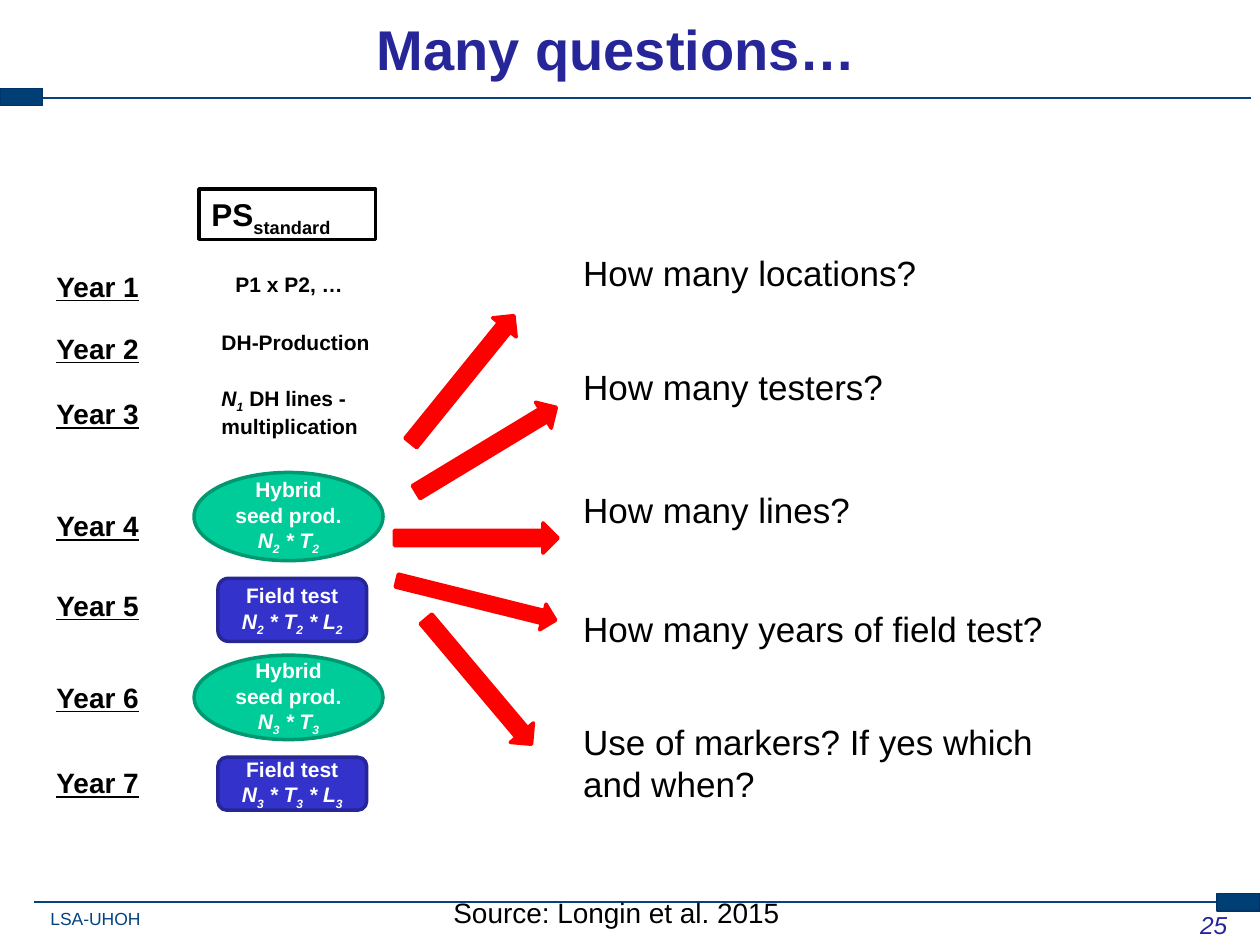
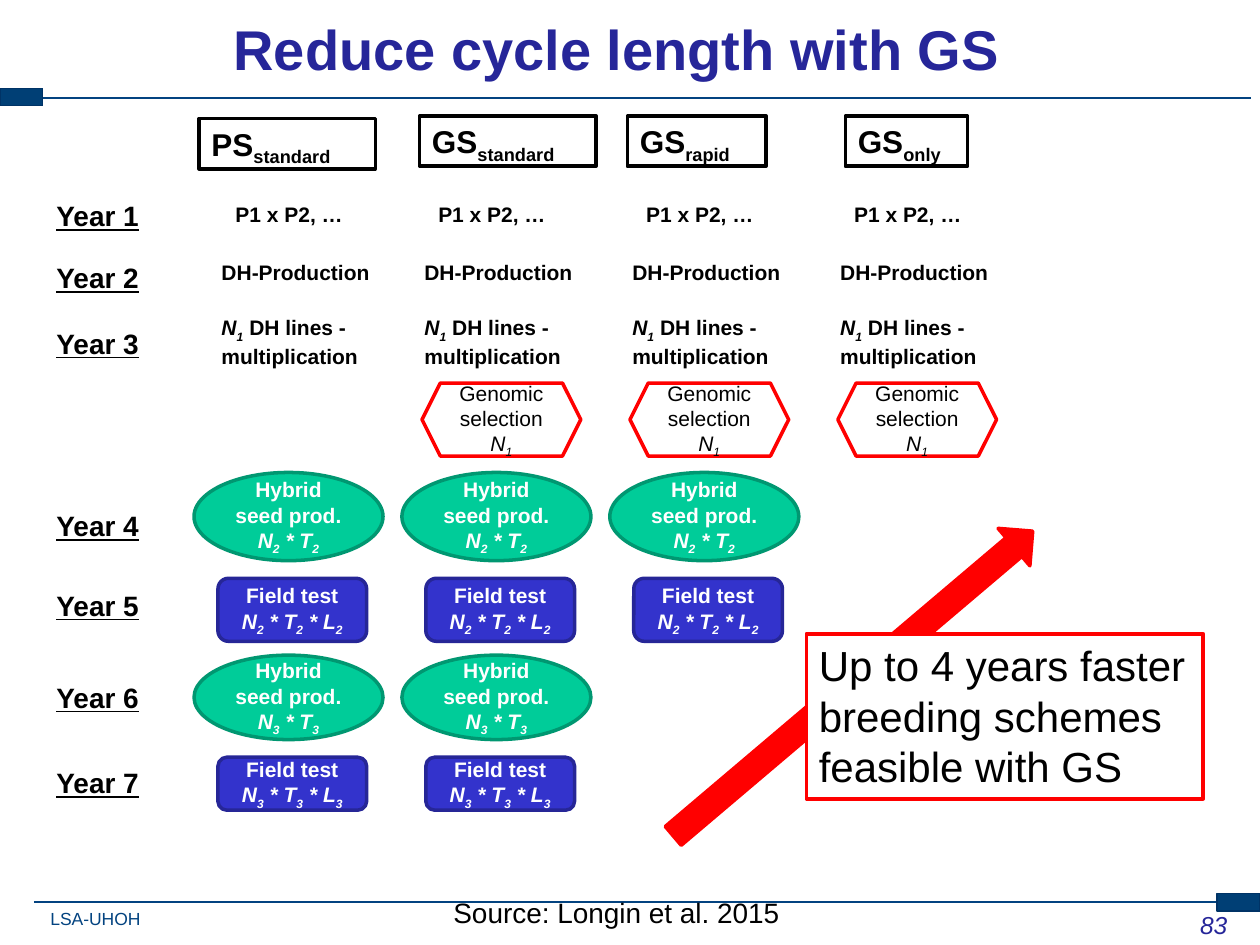
from itertools import groupby
from lxml import etree
from pptx import Presentation
from pptx import util as u
from pptx.dml.color import RGBColor
from pptx.enum import shapes, text
from pptx.oxml.ns import qn

WIDTH, HEIGHT = 10, 7.5
FONT = "Arial"
COLORS = {
    "title": "262699", "rule": "034380", "band": "003F75", "band_line": "003366",
    "black": "000000", "white": "FFFFFF", "red": "FF0000",
    "green": "00CC99", "green_line": "009771", "blue": "3333CC", "blue_line": "262697",
}
KIND = shapes.MSO_SHAPE
ALIGN = text.PP_ALIGN
ANCHOR = text.MSO_ANCHOR


def formula(symbols):
    return [("".join(part), "is" if digit else "i")
            for digit, part in groupby(symbols, str.isdigit)]


FOOTER = "LSA-UHOH"
SOURCE = "Source: Longin et al. 2015"
YEAR_TOPS = [2.09, 2.58, 3.1, 3.99, 4.62, 5.35, 6.03]
EARLY_YEARS = 3
EARLY_LIFT = 0.56

COLUMN_PITCH = 1.65
NOTE_NUDGE = -0.04
NOTES = [
    (1.77, 2.11, 1.18, 0.3, "P1 x P2, …"),
    (1.66, 2.57, 1.5, 0.3, "DH-Production"),
    (1.66, 3.01, 1.34, 0.5, [formula("N1") + [(" DH lines - multiplication", "")]]),
]
GENOMIC = (1.7, 3.04, 1.26, 0.58, [[("Genomic selection ", "")] + formula("N1")])
STAGES = [
    ("hybrid", 3.75, 0.7, "N2 * T2"),
    ("field", 4.59, 0.5, "N2 * T2 * L2"),
    ("hybrid", 5.2, 0.67, "N3 * T3"),
    ("field", 6.01, 0.42, "N3 * T3 * L3"),
]
STAGE_STYLES = {
    "hybrid": (KIND.OVAL, 1.54, 1.5, "Hybrid seed prod.", "green", "green_line"),
    "field": (KIND.ROUNDED_RECTANGLE, 1.73, 1.18, "Field test", "blue", "blue_line"),
}

STANDARD_SCHEME = ("PS", "standard", 1.58, 1.5, 1.4, 4, False)
GENOMIC_SCHEMES = [
    ("GS", "standard", 3.33, 1.48, 1.4, 4, True),
    ("GS", "rapid", 4.98, 1.48, 1.1, 2, True),
    ("GS", "only", 6.71, 1.48, 0.97, 0, True),
]

QUESTION_LEFT = 4.53
QUESTIONS = [
    ("How many locations?", 1.95, 2.99, 0.44, (3.02, 2.89, 1.3, 0.24), 309),
    ("How many testers?", 2.85, 2.99, 0.44, (3.21, 3.45, 1.3, 0.24), 328.8),
    ("How many lines?", 3.83, 2.99, 0.44, (3.13, 4.15, 1.3, 0.24), 0),
    ("How many years of field test?", 4.77, 4.17, 0.44, (3.13, 4.66, 1.3, 0.21), 14),
    ("Use of markers? If yes which and when?", 5.67, 4.17, 0.77, (3.15, 5.29, 1.3, 0.24), 49.9),
]
CONCLUSION = "Up to 4 years faster breeding schemes feasible with GS"


def color(name):
    return RGBColor.from_string(COLORS[name])


def inches(*lengths):
    return [u.Inches(length) for length in lengths]


def write(shape, content, size=12, ink="black", bold=False, italic=False, underline=False,
          align=ALIGN.LEFT, anchor=ANCHOR.TOP, wrap=True, grow=False, inset=None):
    frame = shape.text_frame
    frame.word_wrap = wrap
    frame.vertical_anchor = anchor
    frame.auto_size = text.MSO_AUTO_SIZE.SHAPE_TO_FIT_TEXT if grow else text.MSO_AUTO_SIZE.NONE
    if inset is not None:
        frame.margin_left = frame.margin_right = u.Inches(inset)
        frame.margin_top = frame.margin_bottom = u.Inches(inset)
    paragraphs = [[(content, "")]] if isinstance(content, str) else content
    for index, runs in enumerate(paragraphs):
        paragraph = frame.add_paragraph() if index else frame.paragraphs[0]
        paragraph.alignment = align
        for words, flags in runs:
            run = paragraph.add_run()
            run.text = words
            font = run.font
            font.name, font.size = FONT, u.Pt(size)
            font.bold, font.italic = bold, italic or "i" in flags
            font.underline = underline
            font.color.rgb = color(ink)
            if "s" in flags:
                run._r.get_or_add_rPr().set("baseline", "-25000")


def add_text(slide, box, content, **style):
    shape = slide.shapes.add_textbox(*inches(*box))
    write(shape, content, **style)


def add_box(slide, kind, box, fill, line, weight=2, rotation=0):
    shape = slide.shapes.add_shape(kind, *inches(*box))
    shape.shadow.inherit = False
    if fill:
        shape.fill.solid()
        shape.fill.fore_color.rgb = color(fill)
    else:
        shape.fill.background()
    shape.line.color.rgb = color(line)
    shape.line.width = u.Pt(weight)
    shape.rotation = rotation
    return shape


def add_rule(slide, left, right, top):
    rule = slide.shapes.add_connector(shapes.MSO_CONNECTOR.STRAIGHT, *inches(left, top, right, top))
    rule.line.color.rgb = color("rule")
    rule.line.width = u.Pt(1)
    etree.SubElement(rule._element.spPr, qn("a:effectLst"))


def add_frame(presentation, title, number):
    slide = presentation.slides.add_slide(presentation.slide_layouts[5])
    heading = slide.shapes.title
    heading.left, heading.top, heading.width, heading.height = inches(-0.2, -0.11, 10.19, 0.99)
    write(heading, title, size=32, ink="title", bold=True, align=ALIGN.CENTER, anchor=ANCHOR.MIDDLE)
    add_rule(slide, 0.27, 9.9, 7.16)
    add_rule(slide, 0.31, 9.93, 0.78)
    for left, top in [(WIDTH - 0.34, 7.09), (0, 0.7)]:
        add_box(slide, KIND.RECTANGLE, (left, top, 0.34, 0.14), "band", "band_line", 0.75)
    add_text(slide, (0.4, 7.21, 0.72, 0.17), FOOTER, size=10, ink="rule", wrap=False, grow=True, inset=0)
    add_text(slide, (7.76, 7.17, 2.08, 0.5), number, size=14, ink="title", italic=True, align=ALIGN.RIGHT)
    add_text(slide, (3.5, 7.06, 2.88, 0.37), SOURCE, size=16, wrap=False, grow=True)
    return slide


def add_years(slide, lift):
    for index, top in enumerate(YEAR_TOPS):
        top -= lift if index < EARLY_YEARS else 0
        add_text(slide, (0.35, top, 1.14, 0.37), f"Year {index + 1}",
                 size=16, bold=True, underline=True, grow=True)


def add_scheme(slide, column, scheme, lift):
    name, suffix, left, top, width, stage_count, genomic = scheme
    shift = column * COLUMN_PITCH
    header = add_box(slide, KIND.RECTANGLE, (left, top - lift, width, 0.4), "white", "black")
    write(header, [[(name, ""), (suffix, "s")]], size=18, bold=True, grow=True)
    for left, top, width, height, content in NOTES:
        left += shift + (NOTE_NUDGE if column else 0)
        add_text(slide, (left, top - lift, width, height), content, bold=True, grow=True)
    if genomic:
        left, top, width, height, content = GENOMIC
        hexagon = add_box(slide, KIND.HEXAGON, (left + shift, top, width, height), None, "red")
        write(hexagon, content, align=ALIGN.CENTER, anchor=ANCHOR.MIDDLE)
    for stage, top, height, symbols in STAGES[:stage_count]:
        kind, left, width, label, fill, line = STAGE_STYLES[stage]
        shape = add_box(slide, kind, (left + shift, top, width, height), fill, line)
        write(shape, [[(label, "")], formula(symbols)], ink="white", bold=True,
              align=ALIGN.CENTER, anchor=ANCHOR.MIDDLE)


def build_questions(presentation):
    slide = add_frame(presentation, "Many questions…", "25")
    add_years(slide, 0)
    add_scheme(slide, 0, STANDARD_SCHEME, 0)
    for question, top, width, height, arrow, rotation in QUESTIONS:
        add_text(slide, (QUESTION_LEFT, top, width, height), question, size=20, grow=True)
        add_box(slide, KIND.RIGHT_ARROW, arrow, "red", "red", rotation=rotation)


def build_cycle_length(presentation):
    slide = add_frame(presentation, "Reduce cycle length with GS", "83")
    add_years(slide, EARLY_LIFT)
    for column, scheme in enumerate([STANDARD_SCHEME] + GENOMIC_SCHEMES):
        add_scheme(slide, column, scheme, EARLY_LIFT)
    add_box(slide, KIND.RIGHT_ARROW, (4.9, 5.23, 3.74, 0.39), "red", "red", rotation=319.7)
    conclusion = add_box(slide, KIND.RECTANGLE, (6.4, 5.03, 3.15, 1.31), "white", "red")
    write(conclusion, CONCLUSION, size=24, grow=True)


def main():
    presentation = Presentation()
    presentation.slide_width, presentation.slide_height = inches(WIDTH, HEIGHT)
    build_questions(presentation)
    build_cycle_length(presentation)
    presentation.save("out.pptx")


if __name__ == "__main__":
    main()
